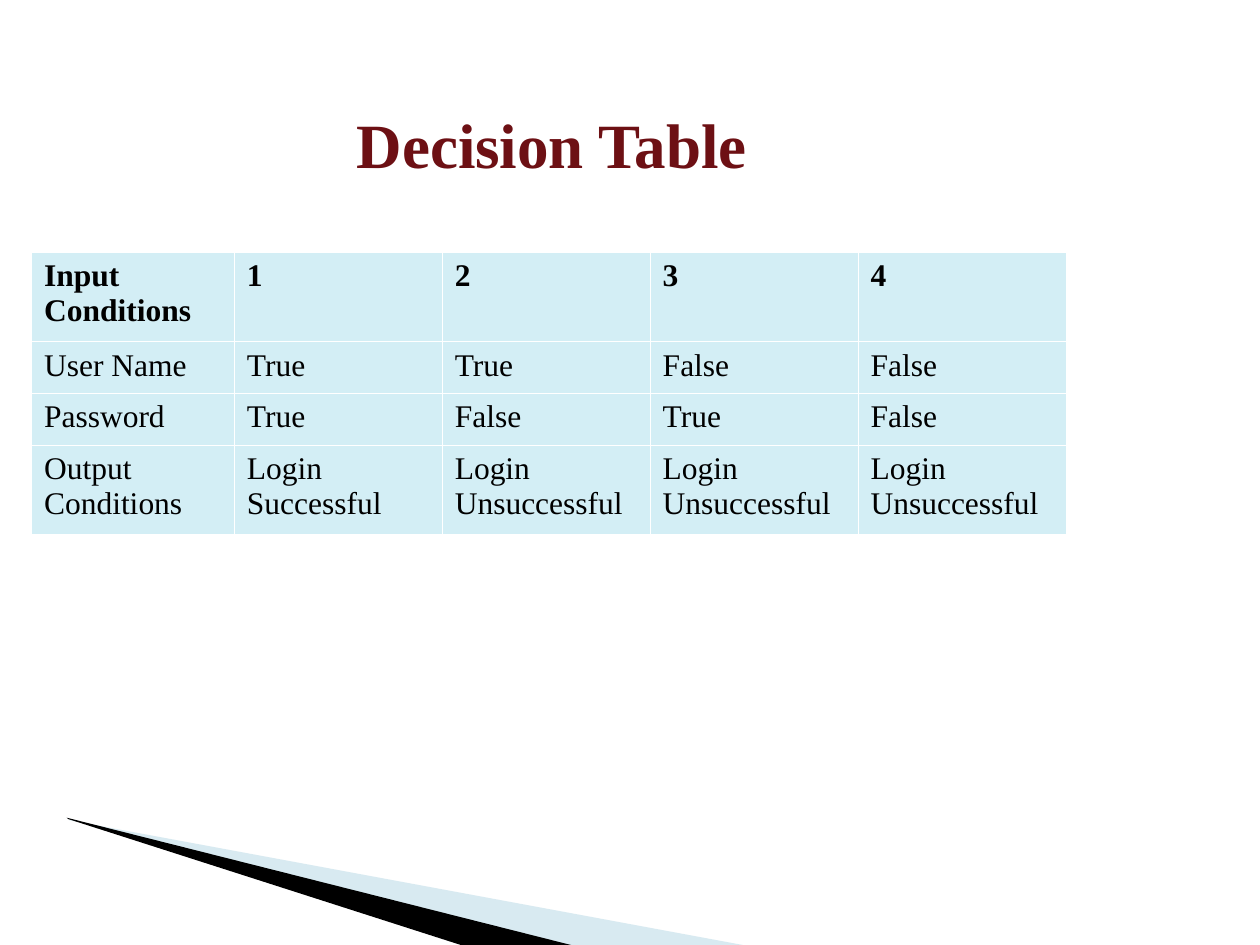
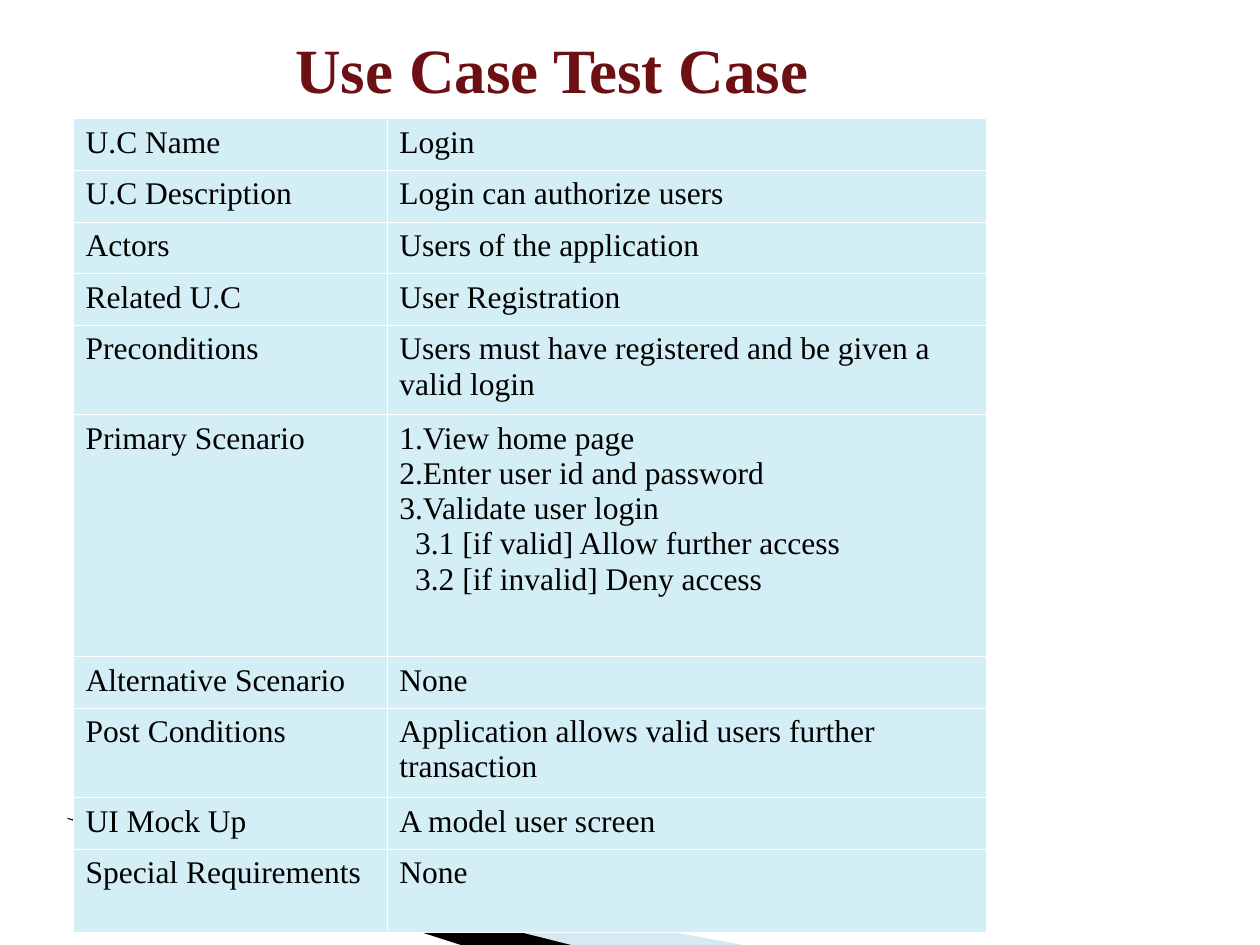
from pptx import Presentation
from pptx.dml.color import RGBColor
from pptx.enum.text import MSO_ANCHOR, MSO_AUTO_SIZE, PP_ALIGN
from pptx.oxml import parse_xml
from pptx.oxml.ns import nsdecls
from pptx.util import Inches, Pt

FONT = "Times New Roman"
MAROON, BLACK, WHITE = "6D1014", "000000", "FFFFFF"
CELL_BLUE, WEDGE_BLUE = "D3EEF5", "9FCBDC"
ONE_LINE, TWO_LINES = 0.41, 0.71
HAIRLINE, HEADER_RULE = 0.23, 0.75
SUBSTEP_INDENT = Pt(9)

WEDGES = [
    (WEDGE_BLUE, 40, [(0.55, 6.51), (5.95, 7.51), (4.56, 7.51), (0.55, 6.5)]),
    (BLACK, 100, [(0.53, 6.49), (4.57, 7.51), (3.72, 7.52), (0.54, 6.5)]),
]

SCENARIO = """1.View home page
2.Enter user id and password
3.Validate user login
3.1 [if valid] Allow further access
3.2 [if invalid] Deny access"""

PAGES = [
    {
        "title": "Decision Table",
        "title_top": 0.35,
        "title_height": 1.57,
        "corner": (0.25, 2),
        "columns": [1.61] + [1.65] * 4,
        "heights": [TWO_LINES, ONE_LINE, ONE_LINE, TWO_LINES],
        "has_header": True,
        "rows": [
            ["Input Conditions", "1", "2", "3", "4"],
            ["User Name", "True", "True", "False", "False"],
            ["Password", "True", "False", "True", "False"],
            ["Output Conditions", "Login Successful"] + ["Login Unsuccessful"] * 3,
        ],
    },
    {
        "title": "Use Case Test Case",
        "title_top": 0,
        "title_height": 1.08,
        "corner": (0.58, 0.94),
        "columns": [2.49, 4.76],
        "heights": [ONE_LINE] * 4 + [TWO_LINES, 1.92, ONE_LINE, TWO_LINES, ONE_LINE, 0.66],
        "has_header": False,
        "rows": [
            ["U.C Name", "Login"],
            ["U.C Description", "Login can authorize users"],
            ["Actors", "Users of the application"],
            ["Related U.C", "User Registration"],
            ["Preconditions", "Users must have registered and be given a valid login"],
            ["Primary Scenario", SCENARIO],
            ["Alternative Scenario", "None"],
            ["Post Conditions", "Application allows valid users further transaction"],
            ["UI Mock Up", "A model user screen"],
            ["Special Requirements", "None"],
        ],
    },
]


def rgb(hex_color):
    return RGBColor.from_string(hex_color)


def style_text(paragraph, size, color, bold):
    font = paragraph.font
    for run in paragraph.runs:
        font = run.font
        font.name, font.size, font.bold = FONT, Pt(size), bold
        font.color.rgb = rgb(color)


deck = Presentation()
deck.slide_width, deck.slide_height = Inches(10), Inches(7.5)
layout = deck.slide_layouts[5]
slides = [deck.slides.add_slide(layout) for page in PAGES]

for order, (color, opacity, corners) in enumerate(WEDGES):
    points = [(Inches(x), Inches(y)) for x, y in corners]
    outline = slides[0].shapes.build_freeform(*points[0])
    outline.add_line_segments(points[1:], close=True)
    wedge = outline.convert_to_shape()
    wedge.shadow.inherit = False
    wedge.fill.solid()
    wedge.fill.fore_color.rgb = rgb(color)
    wedge.line.fill.background()
    if opacity < 100:
        fill_color = wedge.element.find(".//{*}solidFill/{*}srgbClr")
        fill_color.append(parse_xml(f'<a:alpha {nsdecls("a")} val="{opacity * 1000}"/>'))
    wedge.element.nvSpPr.cNvPr.set("id", str(20 + order))
    layout.shapes.element.append(wedge.element)

for slide, page in zip(slides, PAGES):
    title = slide.shapes.title
    title.left, title.top = Inches(0.92), Inches(page["title_top"])
    title.width, title.height = Inches(6.92), Inches(page["title_height"])
    title.text_frame.text = page["title"]
    title.text_frame.auto_size = MSO_AUTO_SIZE.NONE
    title.text_frame.vertical_anchor = MSO_ANCHOR.MIDDLE
    heading = title.text_frame.paragraphs[0]
    heading.alignment = PP_ALIGN.CENTER
    style_text(heading, 36, MAROON, True)

    left, top = page["corner"]
    columns, heights = page["columns"], page["heights"]
    grid = slide.shapes.add_table(
        len(heights), len(columns), Inches(left), Inches(top),
        Inches(sum(columns)), Inches(sum(heights)),
    ).table
    grid.first_row = page["has_header"]
    grid.horz_banding = False
    for column, width in zip(grid.columns, columns):
        column.width = Inches(width)
    for row, height in zip(grid.rows, heights):
        row.height = Inches(height)

    for r, entries in enumerate(page["rows"]):
        is_header = page["has_header"] and r == 0
        below_header = page["has_header"] and r == 1
        borders = {
            "lnL": HAIRLINE,
            "lnR": HAIRLINE,
            "lnT": HEADER_RULE if below_header else HAIRLINE,
            "lnB": HEADER_RULE if is_header else HAIRLINE,
        }
        for c, entry in enumerate(entries):
            cell = grid.cell(r, c)
            cell.text_frame.text = entry
            cell_format = cell._tc.get_or_add_tcPr()
            for side, weight in borders.items():
                cell_format.append(parse_xml(
                    f'<a:{side} {nsdecls("a")} w="{Pt(weight)}"><a:solidFill>'
                    f'<a:srgbClr val="{WHITE}"/></a:solidFill></a:{side}>'))
            cell.fill.solid()
            cell.fill.fore_color.rgb = rgb(CELL_BLUE)
            for paragraph in cell.text_frame.paragraphs:
                if paragraph.text.startswith("3.") and "[" in paragraph.text:
                    paragraph._p.get_or_add_pPr().set("marL", str(SUBSTEP_INDENT))
                paragraph.line_spacing = 1.01
                style_text(paragraph, 18, BLACK, is_header)

deck.save("out.pptx")
